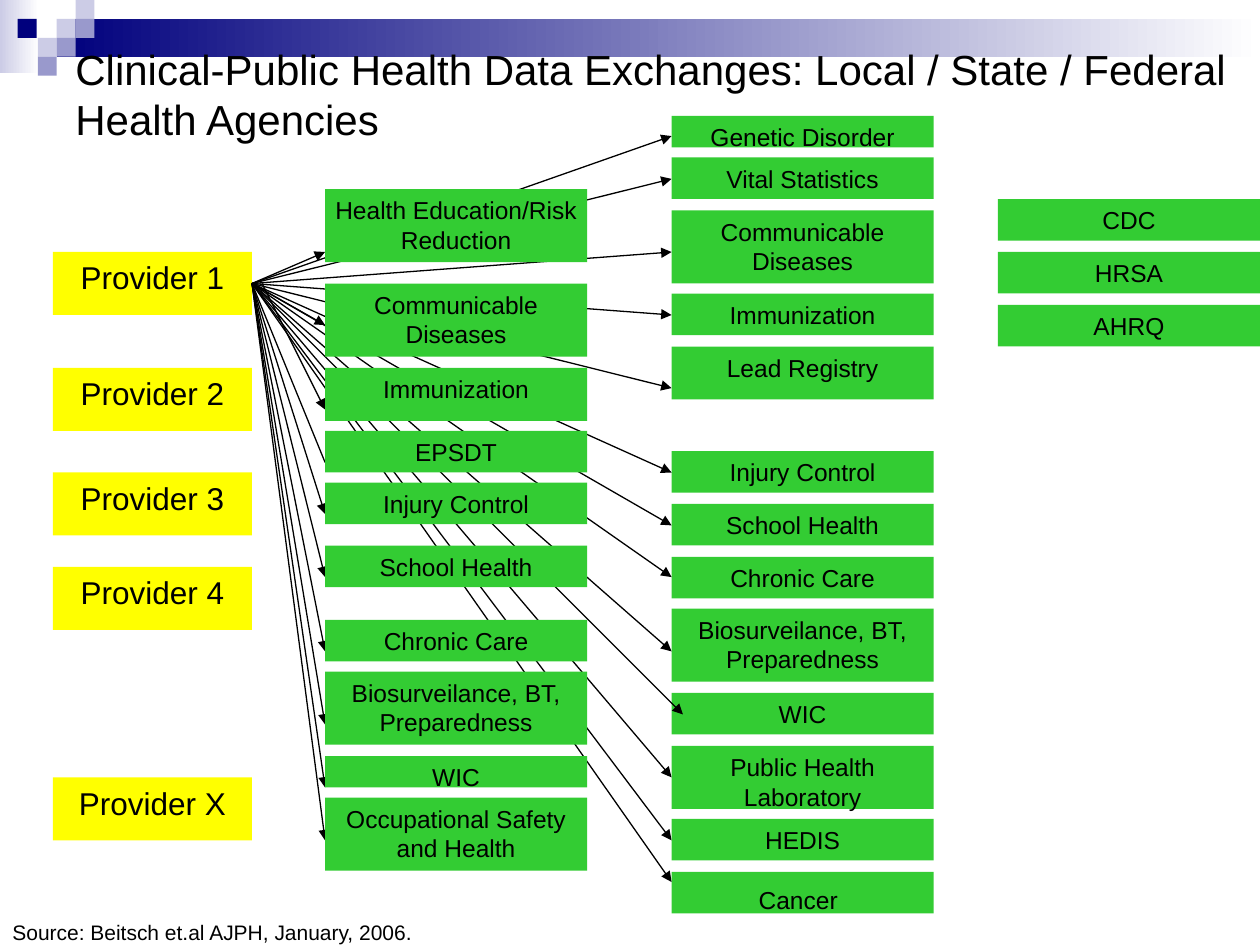
from pptx import Presentation
from pptx.dml.color import RGBColor
from pptx.enum.shapes import MSO_CONNECTOR, MSO_SHAPE
from pptx.enum.text import MSO_ANCHOR, PP_ALIGN
from pptx.oxml.ns import qn
from pptx.util import Inches, Pt
from lxml.etree import SubElement

WHITE = RGBColor(0xFF, 0xFF, 0xFF)
BLACK = RGBColor(0, 0, 0)
NAVY = RGBColor(0, 0, 0x7D)
LILAC = RGBColor(0xCC, 0xCC, 0xE6)
MAUVE = RGBColor(0x99, 0x99, 0xCC)
YELLOW = RGBColor(0xFF, 0xFF, 0)
GREEN = RGBColor(0x33, 0xCC, 0x33)

deck = Presentation()
deck.slide_width, deck.slide_height = Inches(10), Inches(7.5)
slide = deck.slides.add_slide(deck.slide_layouts[6])
shapes = slide.shapes


def put(text, left, top, width, height, fill=None, fade=None, size=14,
        align=PP_ALIGN.CENTER, anchor=MSO_ANCHOR.TOP, side=0.05, tail=None):
    spot = [Inches(n) for n in (left, top, width, height)]
    if fill is None:
        box = shapes.add_textbox(*spot)
    else:
        box = shapes.add_shape(MSO_SHAPE.RECTANGLE, *spot)
        box.shadow.inherit = False
        box.line.fill.background()
        if fade is None:
            box.fill.solid()
            box.fill.fore_color.rgb = fill
        else:
            box.fill.gradient()
            box.fill.gradient_angle = 0
            for stop, tint in zip(box.fill.gradient_stops, (fill, fade)):
                stop.color.rgb = tint
    if not text:
        return
    frame = box.text_frame
    frame.word_wrap = True
    frame.vertical_anchor = anchor
    frame.margin_left = frame.margin_right = Inches(side)
    frame.margin_top = frame.margin_bottom = Inches(0.05)
    para = frame.paragraphs[0]
    para.alignment = align
    parts = [(text, size)] + ([(" ", tail)] if tail else [])
    for part, points in parts:
        run = para.add_run()
        run.text = part
        run.font.name = "Arial"
        run.font.size = Pt(points)
        run.font.color.rgb = BLACK


def draw(start, end, head=True):
    line = shapes.add_connector(
        MSO_CONNECTOR.STRAIGHT, *[Inches(n) for n in start + end])
    line.line.color.rgb = BLACK
    line.line.width = Pt(0.75)
    if head:
        SubElement(line.line._get_or_add_ln(), qn("a:tailEnd"), type="triangle")
    SubElement(line._element.spPr, qn("a:effectLst"))


put("", 0, 0, 0.31, 0.58, fill=LILAC, fade=WHITE)
put("", 0.45, 0.15, 9.55, 0.3, fill=NAVY, fade=WHITE)
tiles = [
    (0.45, 0.15, LILAC), (0.6, 0, LILAC), (0.6, 0.15, MAUVE),
    (0.3, 0.3, LILAC), (0.14, 0.15, NAVY), (0.45, 0.3, MAUVE),
    (0.3, 0.45, MAUVE),
]
for left, top, tint in tiles:
    put("", left, top, 0.15, 0.15, fill=tint)

put("Clinical-Public Health Data Exchanges: Local / State / Federal Health Agencies",
    0.5, 0.58, 9.83, 0.33, size=24, align=PP_ALIGN.LEFT,
    anchor=MSO_ANCHOR.MIDDLE, side=0.1)

for mark, top in zip("1234X", (2, 2.92, 3.75, 4.5, 6.17)):
    put(f"Provider {mark}", 0.42, top, 1.58, 0.5, fill=YELLOW, size=18)

state = [
    ("Genetic Disorder", 0.92, 0.25),
    ("Vital Statistics", 1.25, 0.33),
    ("Communicable Diseases", 1.67, 0.58),
    ("Immunization", 2.33, 0.33),
    ("Lead Registry", 2.75, 0.42),
    ("Injury Control", 3.58, 0.33),
    ("School Health", 4, 0.33),
    ("Chronic Care", 4.42, 0.33),
    ("Biosurveilance, BT, Preparedness", 4.83, 0.58),
    ("WIC", 5.5, 0.33),
    ("Public Health Laboratory", 5.92, 0.5),
    ("HEDIS", 6.5, 0.33),
    ("Cancer", 6.92, 0.33),
]
for name, top, height in state:
    put(name, 5.33, top, 2.08, height, fill=GREEN,
        tail=18 if name == "Cancer" else None)

hub = (2, 2.25)
for end in (2, 2.58, 4.08, 4.58, 5.17, 5.75, 6.25, 6.67):
    draw(hub, (2.58, end))
draw((2.08, 2.25), (2.58, 3.25))
draw(hub, (2.58, 3.67), head=False)
for end in (1.08, 1.42, 2, 2.5, 3.08, 3.75, 4.17, 4.58, 5.17, 6.17, 6.67, 7):
    draw(hub, (5.33, end))
draw(hub, (5.42, 5.67))

local = [
    ("Health Education/Risk Reduction", 1.5, 0.58),
    ("Communicable Diseases", 2.25, 0.58),
    ("Immunization", 2.92, 0.42),
    ("EPSDT", 3.42, 0.33),
    ("Injury Control", 3.83, 0.33),
    ("School Health", 4.33, 0.33),
    ("Chronic Care", 4.92, 0.33),
    ("Biosurveilance, BT, Preparedness", 5.33, 0.58),
    ("WIC", 6, 0.25),
    ("Occupational Safety and Health", 6.33, 0.58),
]
for name, top, height in local:
    put(name, 2.58, top, 2.08, height, fill=GREEN)

for row, name in enumerate(("CDC", "HRSA", "AHRQ")):
    put(name, 7.92, 1.58 + 0.42 * row, 2.08, 0.33, fill=GREEN)

put("Source: Beitsch et.al AJPH, January, 2006.", 0, 7.25, 12.48, 0.3,
    size=12, align=PP_ALIGN.LEFT, side=0.1)

deck.save("out.pptx")
